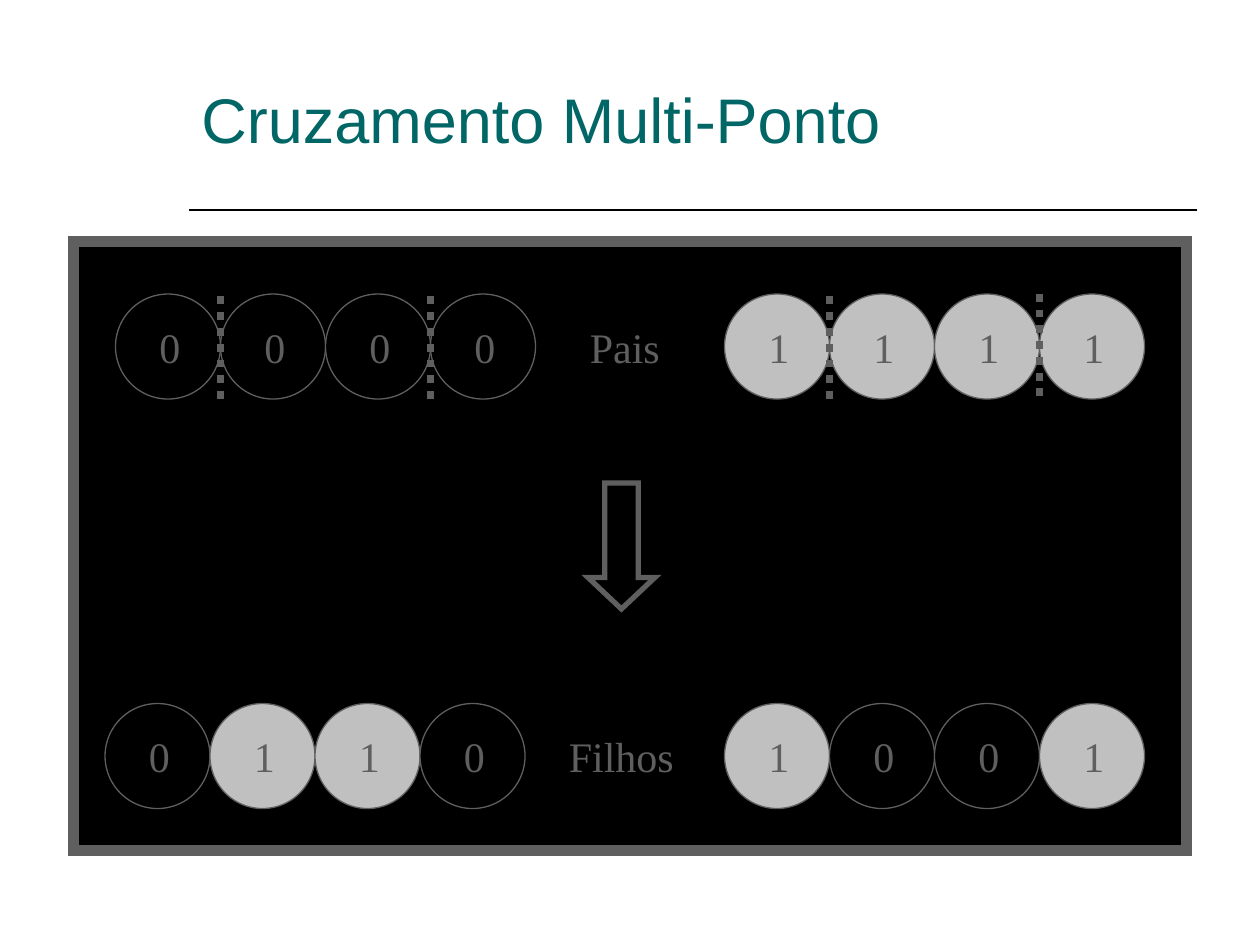
from pptx import Presentation
from pptx.dml.color import RGBColor
from pptx.enum.dml import MSO_LINE
from pptx.enum.shapes import MSO_CONNECTOR, MSO_SHAPE
from pptx.enum.text import MSO_ANCHOR, MSO_AUTO_SIZE, PP_ALIGN
from pptx.oxml.ns import qn
from pptx.util import Pt

HUES = {"black": "000000", "gray": "5F5F5F", "light": "C0C0C0", "teal": "006666"}
SIZE = 60
PARENT_TOP, CHILD_TOP = 168, 402


def hue(name):
    return RGBColor.from_string(HUES[name])


def add_shape(slide, kind, box, fill, width=0):
    shape = slide.shapes.add_shape(kind, *map(Pt, box))
    shape.shadow.inherit = False
    shape.fill.solid()
    shape.fill.fore_color.rgb = hue(fill)
    if width:
        shape.line.color.rgb = hue("gray")
        shape.line.width = Pt(width)
        edge = shape._element.spPr.find(qn("a:ln"))
        edge.append(edge.makeelement(qn("a:miter"), {"lim": "800000"}))
    else:
        shape.line.fill.background()
    return shape


def add_line(slide, start, end, color, width, dash=None):
    line = slide.shapes.add_connector(MSO_CONNECTOR.STRAIGHT, *map(Pt, start + end))
    line.line.color.rgb = hue(color)
    line.line.width = Pt(width)
    if dash:
        line.line.dash_style = dash
    props = line._element.spPr
    props.append(props.makeelement(qn("a:effectLst"), {}))


def set_text(shape, text, font="Times New Roman", size=24, color="gray",
             align=PP_ALIGN.LEFT, anchor=MSO_ANCHOR.TOP,
             fit=MSO_AUTO_SIZE.SHAPE_TO_FIT_TEXT):
    frame = shape.text_frame
    frame.text = text
    frame.word_wrap = True
    frame.auto_size = fit
    frame.vertical_anchor = anchor
    para = frame.paragraphs[0]
    para.alignment = align
    run = para.runs[0].font
    run.name, run.size = font, Pt(size)
    run.color.rgb = hue(color)


def add_label(slide, box, text, **style):
    set_text(slide.shapes.add_textbox(*map(Pt, box)), text, **style)


def add_genes(slide, left, top, bits):
    for i, bit in enumerate(bits):
        x = left + i * SIZE
        fill = "light" if bit == "1" else "black"
        add_shape(slide, MSO_SHAPE.OVAL, (x, top, SIZE, SIZE), fill, 0.75)
        digit = add_shape(slide, MSO_SHAPE.RECTANGLE, (x + 18, top + 12, 24, 36), fill)
        set_text(digit, bit, align=PP_ALIGN.CENTER)


def add_cut(slide, x, top):
    add_line(slide, (x, top + SIZE), (x, top), "gray", 4.5, MSO_LINE.ROUND_DOT)


def main():
    """Build the multi-point crossover slide."""
    deck = Presentation()
    deck.slide_width, deck.slide_height = Pt(720), Pt(540)
    slide = deck.slides.add_slide(deck.slide_layouts[6])

    add_line(slide, (108, 120), (684, 120), "black", 1)
    add_label(slide, (108, 45, 576, 48), "Cruzamento Multi-Ponto", font="Arial",
              size=36, color="teal", anchor=MSO_ANCHOR.BOTTOM, fit=MSO_AUTO_SIZE.NONE)
    add_shape(slide, MSO_SHAPE.RECTANGLE, (42, 138, 636, 348), "black", 6)

    add_genes(slide, 66, PARENT_TOP, "0000")
    add_genes(slide, 414, PARENT_TOP, "1111")
    for x, top in ((126, PARENT_TOP), (246, PARENT_TOP),
                   (474, PARENT_TOP), (594, PARENT_TOP - 1.5)):
        add_cut(slide, x, top)
    add_label(slide, (330, PARENT_TOP + 12, 60, 36), "Pais")

    arrow = add_shape(slide, MSO_SHAPE.DOWN_ARROW, (336, 276, 38.25, 72), "black", 3)
    arrow.adjustments[0] = 0.5
    arrow.adjustments[1] = 0.47

    add_genes(slide, 60, CHILD_TOP, "0110")
    add_genes(slide, 414, CHILD_TOP, "1001")
    add_label(slide, (318, CHILD_TOP + 12, 80, 36), "Filhos")
    deck.save("out.pptx")


if __name__ == "__main__":
    main()
